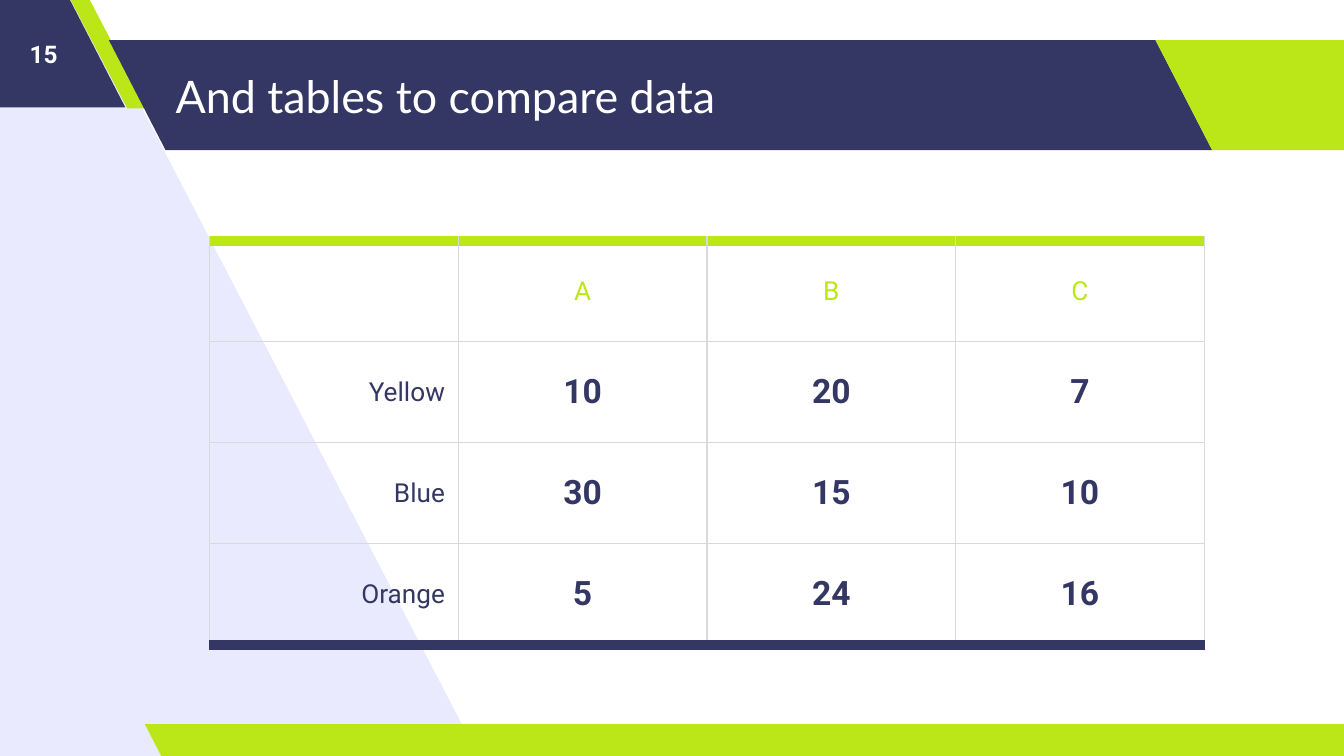
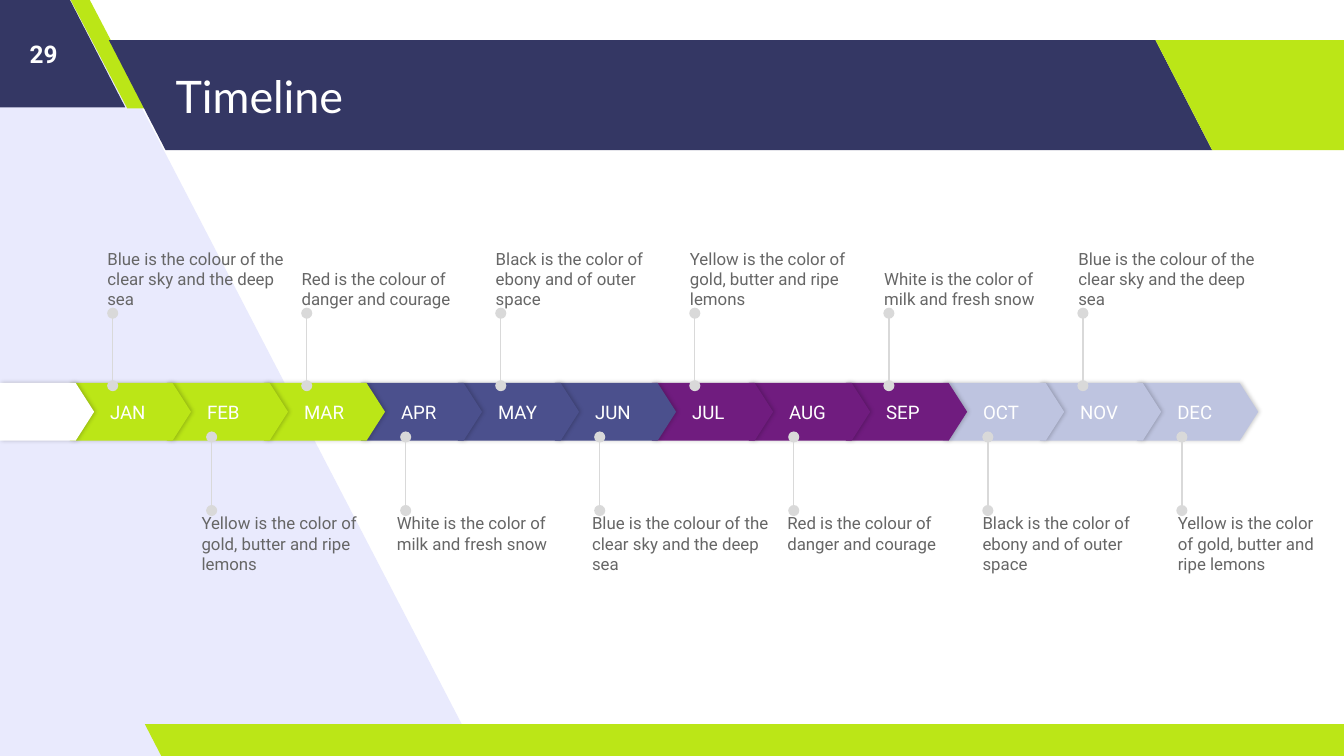
from lxml.etree import SubElement
from pptx import Presentation
from pptx.dml.color import RGBColor
from pptx.enum.shapes import MSO_CONNECTOR, MSO_SHAPE
from pptx.enum.text import MSO_ANCHOR, PP_ALIGN
from pptx.oxml.ns import qn
from pptx.util import Cm, Pt

NAVY = RGBColor(0x34, 0x37, 0x64)
LIME = RGBColor(0xBB, 0xE6, 0x17)
LAVENDER = RGBColor(0xE9, 0xEA, 0xFD)
INDIGO = RGBColor(0x4B, 0x50, 0x8D)
PURPLE = RGBColor(0x70, 0x1C, 0x7F)
PERIWINKLE = RGBColor(0xBE, 0xC4, 0xE0)
GRID_GREY = RGBColor(0xD9, 0xD9, 0xD9)
TEXT_GREY = RGBColor(0x66, 0x66, 0x66)
BLACK = RGBColor(0, 0, 0)
WHITE = RGBColor(0xFF, 0xFF, 0xFF)

TITLE_FONT = {"name": "Lato", "size": Pt(24), "bold": False}
NUMBER_FONT = {"name": "Roboto", "size": Pt(13), "bold": True}
LABEL_FONT = {"name": "Roboto", "size": Pt(14), "bold": False}
VALUE_FONT = {"name": "Roboto", "size": Pt(18), "bold": True}
MONTH_FONT = {"name": "Roboto", "size": Pt(10), "bold": False}
CAPTION_FONT = {"name": "Roboto", "size": Pt(9), "bold": False}

BACKDROP = [(9.04, 14.29), (1.57, -0.1), (-0.15, -0.1), (-0.05, 14.38)]
BANDS = [
    (-2.51, -0.05, 4.88, 2.08, 0.515, NAVY),
    (1.32, -0.03, 1.45, 2.08, 0.75, LIME),
    (2.06, 0.76, 20.85, 2.08, 0.515, NAVY),
    (21.84, 0.76, 4.88, 2.08, 0.515, LIME),
    (2.74, 13.69, 23.24, 0.64, 0.515, LIME),
]

COMPARISON = [
    ["", "A", "B", "C"],
    ["Yellow", "10", "20", "7"],
    ["Blue", "30", "15", "10"],
    ["Orange", "5", "24", "16"],
]

QUARTERS = [
    (LIME, ["JAN", "FEB", "MAR"]),
    (INDIGO, ["APR", "MAY", "JUN"]),
    (PURPLE, ["JUL", "AUG", "SEP"]),
    (PERIWINKLE, ["OCT", "NOV", "DEC"]),
]
FIRST_MONTH = 1.32
MONTH_STEP = 20.17 / 11
CAPTION_WIDTH = 3.48
CAPTION_RIGHT = 25.12

BLUE = "Blue is the colour of the clear sky and the deep sea"
RED = "Red is the colour of danger and courage"
DARK = "Black is the color of ebony and of outer space"
YELLOW = "Yellow is the color of gold, butter and ripe lemons"
SNOW = "White is the color of milk and fresh snow"
ABOVE = {
    "captions": [BLUE, RED, DARK, YELLOW, SNOW, BLUE],
    "stem_x": 2.13, "stem_y": (7.29, 5.92),
    "text_x": 2.03, "text_y": 4.37, "pitch": 3.67,
    "anchor": MSO_ANCHOR.BOTTOM,
}
BELOW = {
    "captions": [YELLOW, SNOW, BLUE, RED, DARK, YELLOW],
    "stem_x": 4, "stem_y": (9.65, 8.26),
    "text_x": 3.81, "text_y": 9.7, "pitch": 3.69,
    "anchor": MSO_ANCHOR.TOP,
}


def apply(target, values):
    """Set each named attribute on the target."""
    for name, value in values.items():
        setattr(target, name, value)


def margins(horizontal, vertical):
    """Return inner margins in centimetres as format values."""
    return {
        "margin_left": Cm(horizontal), "margin_right": Cm(horizontal),
        "margin_top": Cm(vertical), "margin_bottom": Cm(vertical),
    }


def write(frame, text, font, color, align=PP_ALIGN.LEFT):
    """Write one formatted paragraph into a text frame."""
    paragraph = frame.paragraphs[0]
    paragraph.alignment = align
    run = paragraph.add_run()
    run.text = text
    apply(run.font, font)
    run.font.color.rgb = color


def add_label(slide, box, text, font, color, align=PP_ALIGN.LEFT,
              anchor=MSO_ANCHOR.MIDDLE, inset=0.25):
    """Add a wrapping text box."""
    frame = slide.shapes.add_textbox(*map(Cm, box)).text_frame
    apply(frame, {"word_wrap": True, "vertical_anchor": anchor,
                  **margins(inset, inset)})
    write(frame, text, font, color, align)


def paint(shape, color):
    """Give a shape a flat fill without outline or shadow."""
    shape.fill.solid()
    shape.fill.fore_color.rgb = color
    shape.line.fill.background()
    shape.shadow.inherit = False


def add_preset(slide, kind, box, slant, color):
    """Add a flat preset shape with one adjustment."""
    shape = slide.shapes.add_shape(kind, *map(Cm, box))
    shape.adjustments[0] = slant
    paint(shape, color)
    return shape


def add_frame(deck, title, number):
    """Add a slide with backdrop, bands, title and number."""
    slide = deck.slides.add_slide(deck.slide_layouts[6])
    start, *corners = [(Cm(x), Cm(y)) for x, y in BACKDROP]
    outline = slide.shapes.build_freeform(*start)
    outline.add_line_segments(corners, close=True)
    paint(outline.convert_to_shape(), LAVENDER)
    for *box, slant, color in BANDS:
        band = add_preset(slide, MSO_SHAPE.PARALLELOGRAM, box, slant, color)
        band._element.spPr.find(qn("a:xfrm")).set("flipH", "1")
    add_label(slide, (3.07, 0.76, 18.67, 2.08), title, TITLE_FONT, WHITE)
    add_label(slide, (0, 0, 1.65, 2.03), number, NUMBER_FONT, WHITE,
              PP_ALIGN.CENTER)
    return slide


def add_border(cell, side, color, width):
    """Draw one border of a table cell."""
    line = SubElement(cell._tc.get_or_add_tcPr(), qn(f"a:ln{side}"),
                      w=str(Pt(width)))
    fill = SubElement(line, qn("a:solidFill"))
    SubElement(fill, qn("a:srgbClr"), val=str(color))


def add_comparison(slide):
    """Add the table with a lime top rule and a navy bottom rule."""
    last = len(COMPARISON) - 1
    table = slide.shapes.add_table(
        last + 1, 4, Cm(3.96), Cm(4.55), Cm(18.8), Cm(7.64)).table
    apply(table, {"first_row": False, "horz_banding": False})
    for column in table.columns:
        column.width = Cm(4.7)
    for row, texts in enumerate(COMPARISON):
        table.rows[row].height = Cm(1.91)
        for column, text in enumerate(texts):
            cell = table.cell(row, column)
            apply(cell, {"vertical_anchor": MSO_ANCHOR.MIDDLE,
                         **margins(0.25, 0.18)})
            borders = dict.fromkeys("LRTB", (GRID_GREY, 0.75))
            if row == 0:
                borders["T"] = (LIME, 6)
            if row == last:
                borders["B"] = (NAVY, 6)
            for side, style in borders.items():
                add_border(cell, side, *style)
            cell.fill.background()
            if text:
                write(cell.text_frame, text,
                      VALUE_FONT if row and column else LABEL_FONT,
                      NAVY if row else LIME,
                      PP_ALIGN.CENTER if column else PP_ALIGN.RIGHT)


def add_arrow(slide, left, width, color):
    """Add one shadowed pentagon of the timeline."""
    arrow = add_preset(slide, MSO_SHAPE.PENTAGON, (left, 7.24, width, 1.09),
                       0.32, color)
    effects = arrow._element.spPr.find(qn("a:effectLst"))
    shadow = SubElement(effects, qn("a:outerShdw"), blurRad=str(Pt(2.2)),
                        dist=str(Pt(0.8)), dir="0", algn="ctr",
                        rotWithShape="0")
    tint = SubElement(shadow, qn("a:srgbClr"), val=str(BLACK))
    SubElement(tint, qn("a:alpha"), val="20000")
    return arrow


def add_months(slide):
    """Add the months from last to first so each overlaps the next."""
    months = [(name, color) for color, names in QUARTERS for name in names]
    for index, (name, color) in reversed(list(enumerate(months))):
        arrow = add_arrow(slide, FIRST_MONTH + index * MONTH_STEP, 2.29, color)
        frame = arrow.text_frame
        apply(frame, {"word_wrap": True, "vertical_anchor": MSO_ANCHOR.MIDDLE,
                      **margins(0, 0), "margin_left": Cm(0.76)})
        write(frame, name, MONTH_FONT, WHITE)
    add_arrow(slide, 0, 1.78, WHITE)


def add_stem(slide, x, start, end):
    """Add a vertical line with a dot at both ends."""
    stem = slide.shapes.add_connector(
        MSO_CONNECTOR.STRAIGHT, Cm(x), Cm(start), Cm(x), Cm(end))
    stem.line.color.rgb = GRID_GREY
    stem.line.width = Pt(0.75)
    line = stem.line._get_or_add_ln()
    for tip in ("headEnd", "tailEnd"):
        SubElement(line, qn(f"a:{tip}"), type="oval")
    SubElement(stem._element.spPr, qn("a:effectLst"))


def add_captions(slide, row):
    """Add a row of captions with stems, every second month."""
    for index, caption in enumerate(row["captions"]):
        add_stem(slide, row["stem_x"] + index * 2 * MONTH_STEP, *row["stem_y"])
        left = row["text_x"] + index * row["pitch"]
        width = min(CAPTION_WIDTH, CAPTION_RIGHT - left)
        add_label(slide, (left, row["text_y"], width, 1.47), caption,
                  CAPTION_FONT, TEXT_GREY, anchor=row["anchor"], inset=0)


def main():
    """Build and save the deck."""
    deck = Presentation()
    apply(deck, {"slide_width": Cm(25.4), "slide_height": Cm(14.29)})
    add_comparison(add_frame(deck, "And tables to compare data", "15"))
    timeline = add_frame(deck, "Timeline", "29")
    add_months(timeline)
    for row in (ABOVE, BELOW):
        add_captions(timeline, row)
    deck.save("out.pptx")


if __name__ == "__main__":
    main()
